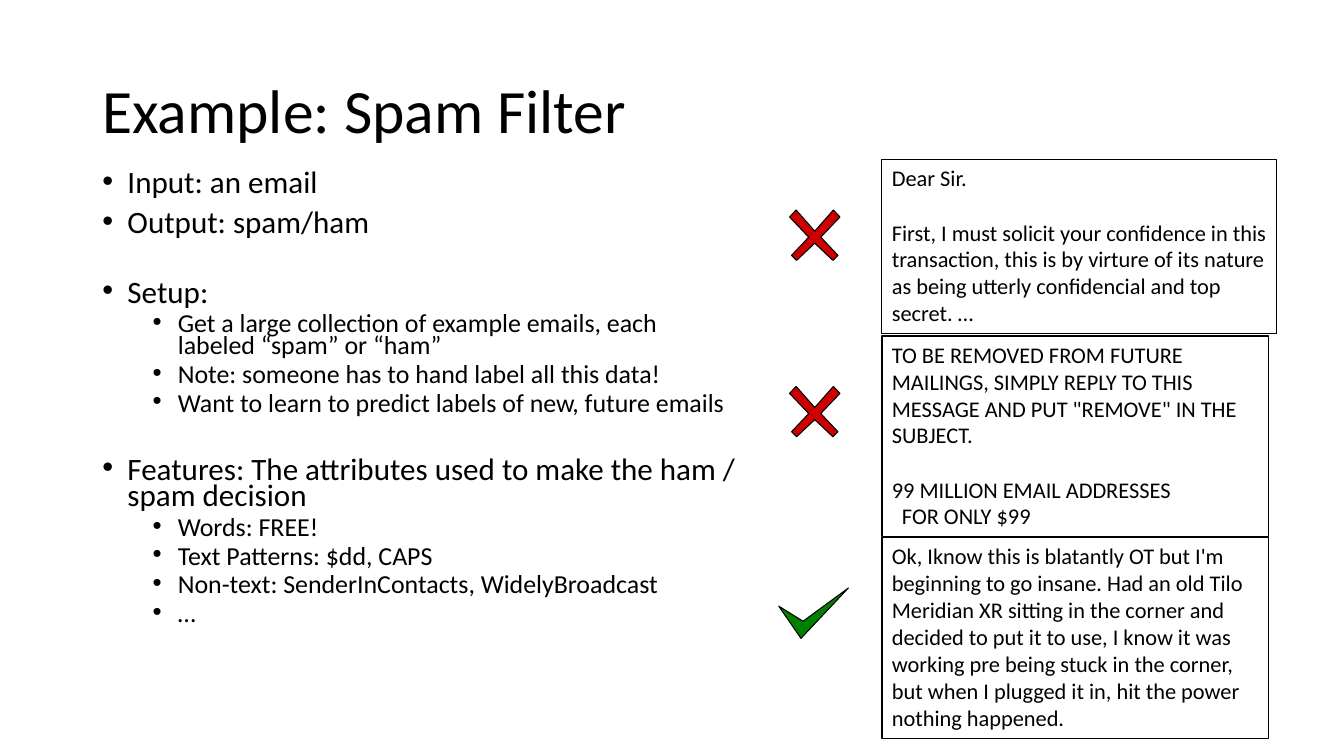
from pptx import Presentation
from pptx.dml.color import RGBColor
from pptx.enum.shapes import MSO_SHAPE as Shape
from pptx.enum.text import MSO_ANCHOR as Anchor, MSO_AUTO_SIZE as Fit, PP_ALIGN as Align
from pptx.oxml.ns import qn
from pptx.util import Inches, Pt
from lxml.etree import SubElement

BLACK = RGBColor(0, 0, 0)
RED = RGBColor(0xCC, 0, 0)
GREEN = RGBColor(0, 0x80, 0)
FONT = "Calibri"
COLS, ROWS = 160, 90
UNIT = Inches(1) / 12  # side of one grid square

# Bullets: level, text, starts a new group
POINTS = [
    (0, "Input: an email", False),
    (0, "Output: spam/ham", False),
    (0, "Setup:", True),
    (1, "Get a large collection of example emails, each labeled “spam” or “ham”", False),
    (1, "Note: someone has to hand label all this data!", False),
    (1, "Want to learn to predict labels of new, future emails", False),
    (0, "Features: The attributes used to make the ham / spam decision", True),
    (1, "Words: FREE!", False),
    (1, "Text Patterns: $dd, CAPS", False),
    (1, "Non-text: SenderInContacts, WidelyBroadcast", False),
    (1, "…", False),
]
# Text size, left margin in inches and space before, by level
LEVELS = [(22.2, 0.25, 10), (18.5, 0.75, 5)]
GROUP_GAP = 20.8

# Emails: box, then lines as text, space before, indent in inches
MAIL_GAP = 19.5
MAILS = [
    ((105, 19, 47, 20.7), [
        ("Dear Sir.", 0, 0),
        ("First, I must solicit your confidence in this transaction, this is by "
         "virture of its nature as being utterly confidencial and top secret. …",
         MAIL_GAP, 0)]),
    ((105, 40, 46, 23.9), [
        ("TO BE REMOVED FROM FUTURE MAILINGS, SIMPLY REPLY TO THIS MESSAGE "
         "AND PUT \"REMOVE\" IN THE SUBJECT.", 0, 0),
        ("99 MILLION EMAIL ADDRESSES", MAIL_GAP, 0),
        ("FOR ONLY $99", 0, 0.1)]),
    ((105, 64, 46, 23.9), [
        ("Ok, Iknow this is blatantly OT but I'm beginning to go insane. Had an "
         "old Tilo Meridian XR sitting in the corner and decided to put it to "
         "use, I know it was working pre being stuck in the corner, but when I "
         "plugged it in, hit the power nothing happened.", 0, 0)]),
]

# Mark outlines as shares of their box
TICK = [(0.32, 1), (1, 0), (0.35, 0.66), (0, 0.36)]
HALF = [(0.5, 0.42), (0.13, 0), (0, 0.14), (0.38, 0.54),
        (0.04, 0.9), (0.14, 1), (0.5, 0.66)]
CROSS = HALF + [(1 - x, y) for x, y in HALF[-2:0:-1]]
MARKS = [
    ((92.7, 70, 8.3, 6), TICK, GREEN),
    ((94, 25, 6, 6), CROSS, RED),
    ((94, 46, 6, 6), CROSS, RED),
]


def scale(box):
    return [round(n * UNIT) for n in box]


def add_run(para, text, size):
    run = para.add_run()
    run.text = text
    run.font.name = FONT
    run.font.size = Pt(size)
    run.font.color.rgb = BLACK


def indent(para, left, hang=0):
    props = para._p.get_or_add_pPr()
    props.set("marL", str(Inches(left)))
    props.set("indent", str(-Inches(hang)))
    return props


def outline(shape):
    shape.shadow.inherit = False
    shape.line.color.rgb = BLACK
    shape.line.width = Pt(0.75)


def add_title(slide, box, text):
    frame = slide.shapes.add_textbox(*scale(box)).text_frame
    frame.word_wrap = True
    frame.vertical_anchor = Anchor.MIDDLE
    para = frame.paragraphs[0]
    para.line_spacing = 0.9
    add_run(para, text, 44)


def add_points(slide, box, points):
    frame = slide.shapes.add_textbox(*scale(box)).text_frame
    frame.word_wrap = True
    for i, (level, text, group) in enumerate(points):
        size, left, gap = LEVELS[level]
        para = frame.add_paragraph() if i else frame.paragraphs[0]
        para.level = level
        para.line_spacing = 0.7
        para.space_before = Pt(gap + GROUP_GAP * group if i else 0)
        props = indent(para, left, 0.25)
        SubElement(props, qn("a:buFont")).set("typeface", "Arial")
        SubElement(props, qn("a:buChar")).set("char", "•")
        add_run(para, text, size)


def add_mail(slide, box, lines):
    shape = slide.shapes.add_shape(Shape.RECTANGLE, *scale(box))
    outline(shape)
    shape.fill.background()
    frame = shape.text_frame
    frame.word_wrap = True
    frame.auto_size = Fit.SHAPE_TO_FIT_TEXT
    frame.vertical_anchor = Anchor.TOP
    for i, (text, gap, left) in enumerate(lines):
        para = frame.add_paragraph() if i else frame.paragraphs[0]
        para.alignment = Align.LEFT
        para.space_before = Pt(gap)
        indent(para, left)
        add_run(para, text, 16)


def add_mark(slide, box, shares, color):
    left, top, width, height = scale(box)
    spots = [(round(left + x * width), round(top + y * height)) for x, y in shares]
    pen = slide.shapes.build_freeform(*spots[0])
    pen.add_line_segments(spots[1:], close=True)
    shape = pen.convert_to_shape()
    outline(shape)
    shape.fill.solid()
    shape.fill.fore_color.rgb = color


def main():
    deck = Presentation()
    deck.slide_width, deck.slide_height = scale((COLS, ROWS))
    slide = deck.slides.add_slide(deck.slide_layouts[6])
    # Left side
    add_title(slide, (11, 4.8, 138, 17.4), "Example: Spam Filter")
    add_points(slide, (11, 20, 78, 63.8), POINTS)
    # Emails with their verdicts
    for box, lines in MAILS:
        add_mail(slide, box, lines)
    for box, shares, color in MARKS:
        add_mark(slide, box, shares, color)
    deck.save("out.pptx")


if __name__ == "__main__":
    main()
